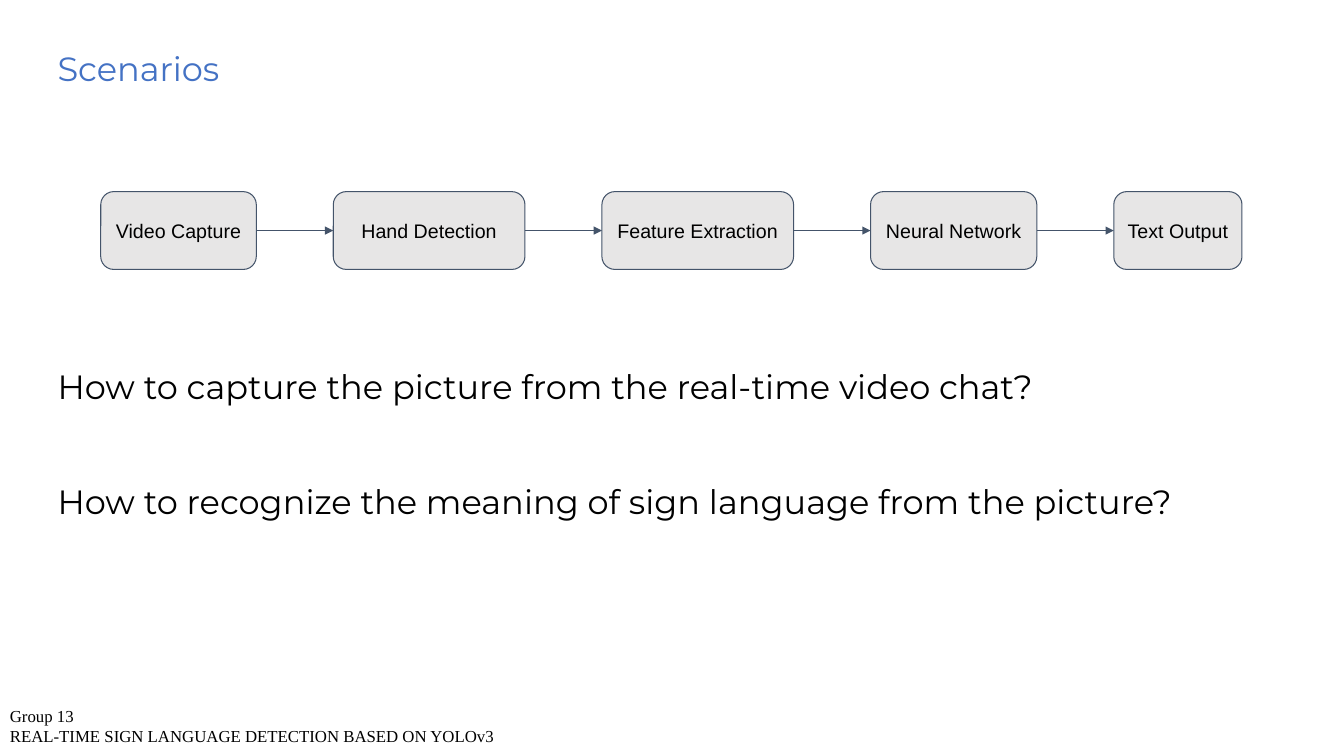
from dataclasses import dataclass

from lxml.etree import SubElement
from pptx import Presentation
from pptx.dml.color import RGBColor
from pptx.enum.shapes import MSO_CONNECTOR, MSO_SHAPE
from pptx.enum.text import MSO_ANCHOR, MSO_AUTO_SIZE, PP_ALIGN
from pptx.oxml.ns import qn
from pptx.util import Cm, Pt


@dataclass(frozen=True)
class Theme:
    accent: RGBColor = RGBColor(0x44, 0x72, 0xC4)
    ink: RGBColor = RGBColor(0, 0, 0)
    step_fill: RGBColor = RGBColor(0xE7, 0xE6, 0xE6)
    outline: RGBColor = RGBColor(0x44, 0x54, 0x6A)
    heading_font: str = "Montserrat"
    step_font: str = "Arial"
    footer_font: str = "Times New Roman"
    heading_size: int = 24
    step_size: int = 14
    footer_size: int = 12
    line_width: float = 0.75


THEME = Theme()

STEPS = [  # label, width in cm
    ("Video Capture", 3.92),
    ("Hand Detection", 4.83),
    ("Feature Extraction", 4.83),
    ("Neural Network", 4.19),
    ("Text Output", 3.23),
]
QUESTIONS = [
    "How to capture the picture from the real-time video chat?",
    "How to recognize the meaning of sign language from the picture?",
]
FOOTER = ["Group 13", "REAL-TIME SIGN LANGUAGE DETECTION BASED ON YOLOv3"]


def write(frame, lines, *, font, size, color=THEME.ink, align=PP_ALIGN.LEFT,
          anchor=MSO_ANCHOR.TOP, gap=0, inset=0.13):
    """Fill a text frame, one paragraph per line, with gap points between."""
    frame.word_wrap = True
    frame.auto_size = MSO_AUTO_SIZE.NONE
    frame.vertical_anchor = anchor
    frame.margin_left = frame.margin_right = Cm(0.25)
    frame.margin_top = frame.margin_bottom = Cm(inset)
    for index, line in enumerate(lines):
        paragraph = frame.add_paragraph() if index else frame.paragraphs[0]
        paragraph.alignment = align
        paragraph.line_spacing = 1.0
        paragraph.space_before = Pt(gap if index else 0)
        paragraph.space_after = Pt(0)
        run = paragraph.add_run()
        run.text = line
        run.font.name = font
        run.font.size = Pt(size)
        run.font.color.rgb = color


def place(shape, left, top, width, height):
    shape.left, shape.top = Cm(left), Cm(top)
    shape.width, shape.height = Cm(width), Cm(height)


def add_heading(slide, left, top, width, height):
    heading = slide.shapes.title
    place(heading, left, top, width, height)
    write(heading.text_frame, ["Scenarios"], font=THEME.heading_font,
          size=THEME.heading_size, color=THEME.accent)


def add_step(slide, label, left, top, width, height):
    step = slide.shapes.add_shape(MSO_SHAPE.FLOWCHART_ALTERNATE_PROCESS,
                                  Cm(left), Cm(top), Cm(width), Cm(height))
    step.shadow.inherit = False
    step.fill.solid()
    step.fill.fore_color.rgb = THEME.step_fill
    step.line.color.rgb = THEME.outline
    step.line.width = Pt(THEME.line_width)
    write(step.text_frame, [label], font=THEME.step_font, size=THEME.step_size,
          align=PP_ALIGN.CENTER, anchor=MSO_ANCHOR.MIDDLE, inset=0.25)
    return step


def add_arrow(slide, source, target):
    arrow = slide.shapes.add_connector(MSO_CONNECTOR.STRAIGHT, 0, 0, 0, 0)
    arrow.begin_connect(source, 3)
    arrow.end_connect(target, 1)
    arrow.line.color.rgb = THEME.outline
    arrow.line.width = Pt(THEME.line_width)
    SubElement(arrow.line._get_or_add_ln(), qn("a:tailEnd"), type="triangle")
    SubElement(arrow._element.spPr, qn("a:effectLst"))


def add_pipeline(slide, left, top, width, height):
    """Spread the steps over the width with equal gaps and join them."""
    gap = (width - sum(size for _, size in STEPS)) / (len(STEPS) - 1)
    steps = []
    for label, step_width in STEPS:
        steps.append(add_step(slide, label, left, top, step_width, height))
        left += step_width + gap
    for source, target in zip(steps, steps[1:]):
        add_arrow(slide, source, target)


def add_questions(slide, left, top, width, height):
    questions = slide.placeholders[1]
    place(questions, left, top, width, height)
    write(questions.text_frame, QUESTIONS, font=THEME.heading_font,
          size=THEME.heading_size, gap=53)
    for paragraph in questions.text_frame.paragraphs:
        properties = paragraph._p.get_or_add_pPr()
        properties.set("marL", "0")
        properties.set("indent", "0")
        SubElement(properties, qn("a:buNone"))


def add_footer(slide, left, top, width, height):
    footer = slide.shapes.add_textbox(Cm(left), Cm(top), Cm(width), Cm(height))
    write(footer.text_frame, FOOTER, font=THEME.footer_font,
          size=THEME.footer_size)


def build_scenarios(deck):
    slide = deck.slides.add_slide(deck.slide_layouts[1])
    margin = 1.2
    add_footer(slide, 0, 17.65, 12.83, 1.28)
    add_heading(slide, margin, 1.07, 6.2, 1.28)
    add_pipeline(slide, 2.54, 4.83, 28.76, 1.96)
    add_questions(slide, margin, 9.09, 31.6, 4.18)


def main():
    deck = Presentation()
    deck.slide_width, deck.slide_height = Cm(33.87), Cm(19.05)
    build_scenarios(deck)
    deck.save("out.pptx")


if __name__ == "__main__":
    main()
